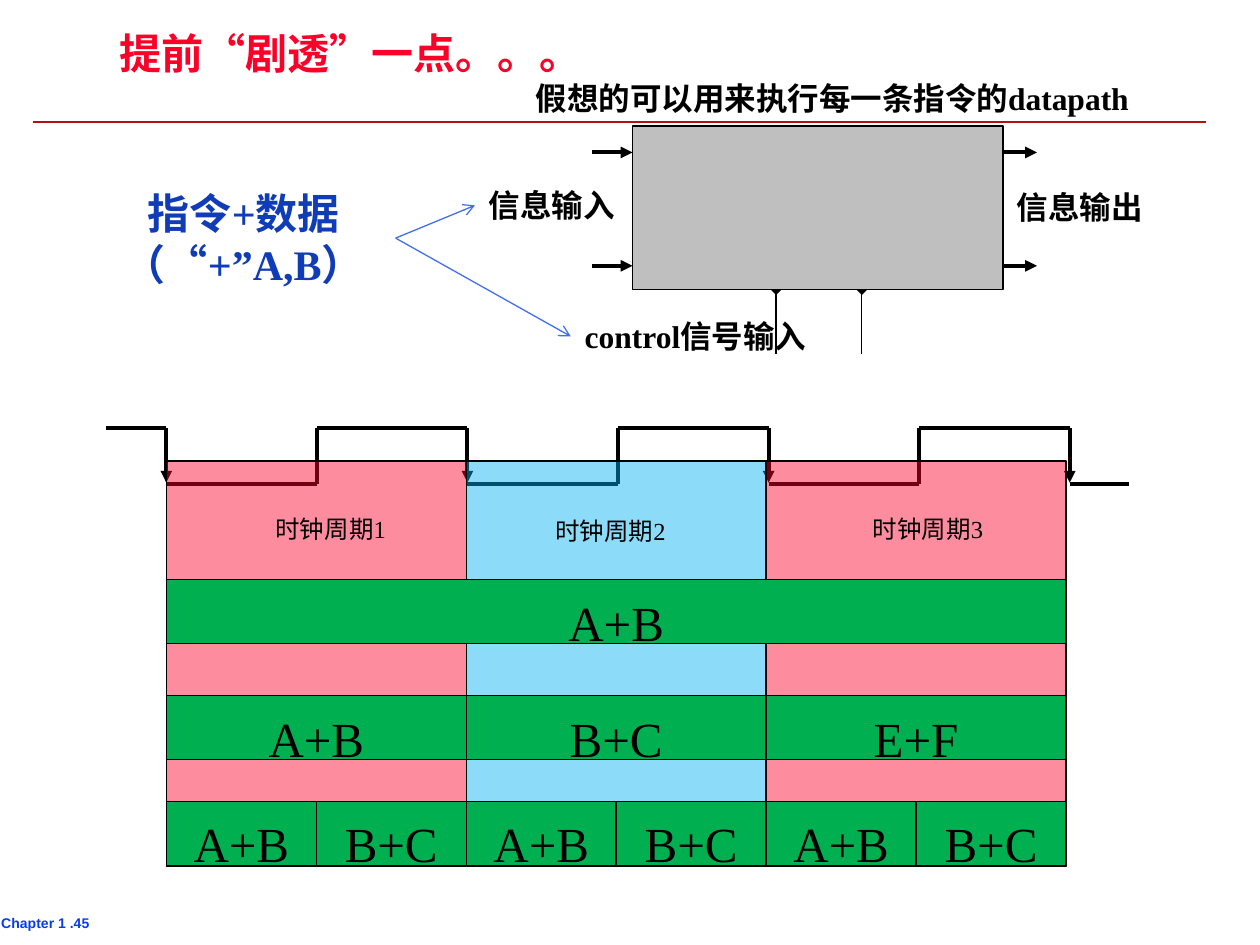
"""Builds the slide on datapath, control signals and clock periods."""
import pptx
import pptx.util
import pptx.dml.color
import pptx.enum.shapes
import pptx.enum.text
import pptx.oxml.ns
import lxml.etree

C = {"red": "FC0128", "blue": "113CB7", "sky": "00B0F0", "green": "00B050",
     "grey": "BFBFBF", "black": "000000", "rule": "B3110D",
     "arrow": "416FEE", "footer": "063DE8"}
RGB = pptx.dml.color.RGBColor.from_string
QN = pptx.oxml.ns.qn
ALIGN = pptx.enum.text.PP_ALIGN
ANCHOR = pptx.enum.text.MSO_ANCHOR
RECT = pptx.enum.shapes.MSO_SHAPE.RECTANGLE
STRAIGHT = pptx.enum.shapes.MSO_CONNECTOR.STRAIGHT

prs = pptx.Presentation()
prs.slide_width, prs.slide_height = pptx.util.Inches(10), pptx.util.Inches(7.5)
s = prs.slides.add_slide(prs.slide_layouts[5])
col, row = prs.slide_width / 100, prs.slide_height / 75


def write(sp, text, size, color="black", bold=False, font="Times New Roman",
          align=ALIGN.CENTER, anchor=ANCHOR.TOP, wrap=False, inset=(1, 0.5), spacing=None):
    tf = sp.text_frame
    frame = {"word_wrap": wrap, "vertical_anchor": anchor,
             "margin_left": int(inset[0] * col), "margin_right": int(inset[0] * col),
             "margin_top": int(inset[1] * row), "margin_bottom": int(0.5 * row)}
    for key, value in frame.items():
        setattr(tf, key, value)
    tf.text = text
    for p in tf.paragraphs:
        p.alignment, p.line_spacing = align, spacing
        for r in p.runs:
            for key, value in {"size": pptx.util.Pt(size), "bold": bold, "name": font}.items():
                setattr(r.font, key, value)
            r.font.color.rgb = RGB(C[color])


def line(x1, y1, x2, y2, color="black", width=2.25, tip=None):
    ends = int(x1 * col), int(y1 * row), int(x2 * col), int(y2 * row)
    cn = s.shapes.add_connector(STRAIGHT, *ends)
    cn.line.color.rgb, cn.line.width = RGB(C[color]), pptx.util.Pt(width)
    if tip:
        lxml.etree.SubElement(cn.line._get_or_add_ln(), QN("a:tailEnd"), type=tip)
    lxml.etree.SubElement(cn._element.spPr, QN("a:effectLst"))


line(2.6, 9.7, 95.7, 9.7, "rule", 1)
title = s.shapes.title
place = {"left": 8.8 * col, "top": 2.5 * row, "width": 61.6 * col, "height": 4.1 * row}
for key, value in place.items():
    setattr(title, key, int(value))
write(title, "提前“剧透”一点。。。", 24, "red", True, "Arial", ALIGN.LEFT,
      ANCHOR.MIDDLE, True, (0.7, 0.3), 0.87)

left, period, high, low = 13.2, 23.9, 34, 38.4
line(8.4, high, left, high)
for i in range(4):
    x = left + i * period
    line(x, high, x, low - 0.1, tip="triangle")
    if i < 3:
        mid = x + period / 2
        line(x, low, mid, low)
        line(mid, low, mid, high)
        line(mid, high, x + period, high)
line(left + 3 * period, low, 89.6, low)

for x in (61.6, 68.4):
    line(x, 28.1, x, 23, width=0.75, tip="diamond")
for y in (12.1, 21.1):
    line(47, y, 50.2, y, tip="triangle")
    line(79.6, y, 82.3, y, tip="triangle")

span = 71.4
rects = [(50.2, 10, 29.4, 13, "grey", None)]
for i, color in enumerate(("red", "sky", "red")):
    rects.append((left + i * span / 3, 36.6, span / 3, 32.2, color, None))
for y, sums in ((46, ["A+B"]), (55.2, ["A+B", "B+C", "E+F"]), (63.6, ["A+B", "B+C"] * 3)):
    w = span / len(sums)
    rects += [(left + i * w, y, w, 5.1, "green", t) for i, t in enumerate(sums)]
for x, y, w, h, color, text in rects:
    sp = s.shapes.add_shape(RECT, int(x * col), int(y * row), int(w * col), int(h * row))
    sp.shadow.inherit = False
    sp.fill.solid()
    sp.fill.fore_color.rgb = RGB(C[color])
    sp.line.color.rgb, sp.line.width = RGB(C["black"]), pptx.util.Pt(0.75)
    if color in ("red", "sky"):
        tint = sp._element.spPr.find(QN("a:solidFill"))[0]
        lxml.etree.SubElement(tint, QN("a:alpha"), val="45000")
    if text:
        write(sp, text, 28, inset=(1, 1))

bold = {"size": 18, "bold": True}
small = {"size": 14, "wrap": True}
for x, y, w, h, text, style in (
        (41.2, 5.8, 49.7, 4, "假想的可以用来执行每一条指令的datapath", bold),
        (37.8, 14.3, 12, 4, "信息输入", bold),
        (79.7, 14.4, 12, 4, "信息输出", bold),
        (45.1, 24.7, 20.2, 4, "control信号输入", bold),
        (19.4, 40.3, 13.7, 3.4, "时钟周期1", small),
        (41.6, 40.5, 13.7, 3.4, "时钟周期2", small),
        (66.8, 40.3, 13.7, 3.4, "时钟周期3", small),
        (7.3, 14.4, 24.1, 9, "指令+数据\n（“+”A,B）",
         {"size": 24, "color": "blue", "bold": True, "wrap": True}),
        (0, 72.3, 12, 1.9, "Chapter 1 .45",
         {"size": 8, "color": "footer", "bold": True, "font": "Arial",
          "align": ALIGN.LEFT, "inset": (0.1, 0.3)})):
    sp = s.shapes.add_textbox(int(x * col), int(y * row), int(w * col), int(h * row))
    write(sp, text, **style)

for x, y in ((37.7, 16.3), (45.3, 26.7)):
    line(31.4, 18.9, x, y, "arrow", 0.75, "arrow")

prs.save("out.pptx")
